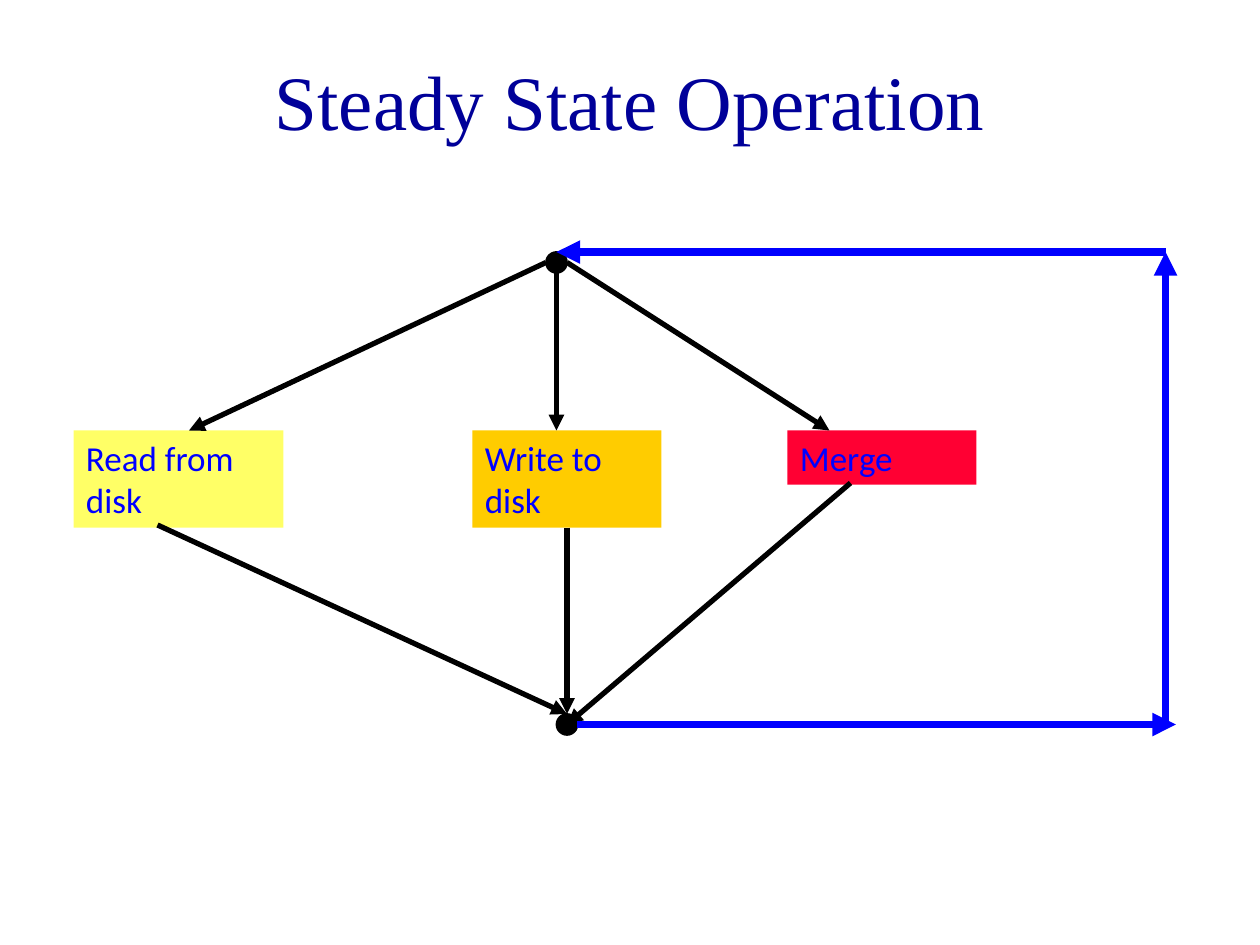
from dataclasses import dataclass
from typing import Optional

from lxml.etree import SubElement
from pptx import Presentation
from pptx.dml.color import RGBColor
from pptx.enum.shapes import MSO_CONNECTOR, MSO_SHAPE
from pptx.enum.text import MSO_ANCHOR, MSO_AUTO_SIZE, PP_ALIGN
from pptx.oxml.ns import qn
from pptx.util import Pt

BLACK, BLUE, NAVY = "000000", "0000FF", "000099"
BOX_TOP = 246
DOT_SIZE = 12
BOTTOM_SIDE = 2


@dataclass
class Task:
    label: str
    left: float
    width: float
    height: float
    fill: str


@dataclass
class Arrow:
    start: tuple[float, float]
    end: tuple[float, float]
    color: str = BLACK
    weight: float = 3
    source: Optional[str] = None  # label of the task whose bottom side it leaves


TASKS = [
    Task("Read from disk", 42, 120, 55.5, "FFFF66"),
    Task("Write to disk", 270, 108, 55.5, "FFCC00"),
    Task("Merge", 450, 108, 31, "FF0033"),
]
DOTS = [(312, 144), (318, 408)]
ARROWS = [
    Arrow((90, 300), (324, 408)),
    Arrow((486, 276), (324, 414)),
    Arrow((324, 300), (324, 408), source="Write to disk"),
    Arrow((312, 150), (108, BOX_TOP)),
    Arrow((318, 156), (318, BOX_TOP)),
    Arrow((324, 150), (474, BOX_TOP)),
    Arrow((330, 414), (672, 414), BLUE, 4.5),
    Arrow((666, 414), (666, 144), BLUE, 4.5),
    Arrow((666, 144), (318, 144), BLUE, 4.5),
]


def rgb(value: str) -> RGBColor:
    return RGBColor.from_string(value)


def format_text(shape, text: str, font: str, size: float, color: str,
                align, frame_format: dict) -> None:
    frame = shape.text_frame
    for name, value in frame_format.items():
        setattr(frame, name, value)
    para = frame.paragraphs[0]
    para.alignment = align
    span = para.add_run()
    span.text = text
    for name, value in {"name": font, "size": Pt(size)}.items():
        setattr(span.font, name, value)
    span.font.color.rgb = rgb(color)


def add_title(page, text: str) -> None:
    title = page.shapes.title
    place = {"left": 54, "top": 12, "width": 612, "height": 90}
    for name, value in place.items():
        setattr(title, name, Pt(value))
    format_text(title, text, "Times New Roman", 44, NAVY, PP_ALIGN.CENTER,
                {"vertical_anchor": MSO_ANCHOR.MIDDLE, "word_wrap": True,
                 "auto_size": MSO_AUTO_SIZE.NONE})


def add_task(page, task: Task):
    box = page.shapes.add_shape(MSO_SHAPE.RECTANGLE, Pt(task.left), Pt(BOX_TOP),
                                Pt(task.width), Pt(task.height))
    box.shadow.inherit = False
    box.fill.solid()
    box.fill.fore_color.rgb = rgb(task.fill)
    box.line.fill.background()
    format_text(box, task.label, "Calibri", 20, BLUE, PP_ALIGN.LEFT,
                {"vertical_anchor": MSO_ANCHOR.TOP, "word_wrap": True,
                 "auto_size": MSO_AUTO_SIZE.SHAPE_TO_FIT_TEXT})
    return box


def add_dot(page, left: float, top: float) -> None:
    dot = page.shapes.add_shape(MSO_SHAPE.OVAL, Pt(left), Pt(top),
                                Pt(DOT_SIZE), Pt(DOT_SIZE))
    dot.shadow.inherit = False
    dot.fill.solid()
    dot.fill.fore_color.rgb = rgb(BLACK)
    dot.line.color.rgb = rgb(BLACK)
    dot.line.width = Pt(1)


def add_arrow(page, arrow: Arrow, boxes: dict) -> None:
    ends = [Pt(value) for value in (*arrow.start, *arrow.end)]
    line = page.shapes.add_connector(MSO_CONNECTOR.STRAIGHT, *ends)
    if arrow.source:
        line.begin_connect(boxes[arrow.source], BOTTOM_SIDE)
    line.line.color.rgb = rgb(arrow.color)
    line.line.width = Pt(arrow.weight)
    properties = line._element.spPr
    SubElement(properties.find(qn("a:ln")), qn("a:tailEnd"), type="triangle")
    SubElement(properties, qn("a:effectLst"))


def main() -> None:
    deck = Presentation()
    deck.slide_width, deck.slide_height = Pt(720), Pt(540)
    page = deck.slides.add_slide(deck.slide_layouts.get_by_name("Title Only"))
    add_title(page, "Steady State Operation")
    boxes = {task.label: add_task(page, task) for task in TASKS}
    for left, top in DOTS:
        add_dot(page, left, top)
    for arrow in ARROWS:
        add_arrow(page, arrow, boxes)
    deck.save("out.pptx")


if __name__ == "__main__":
    main()
